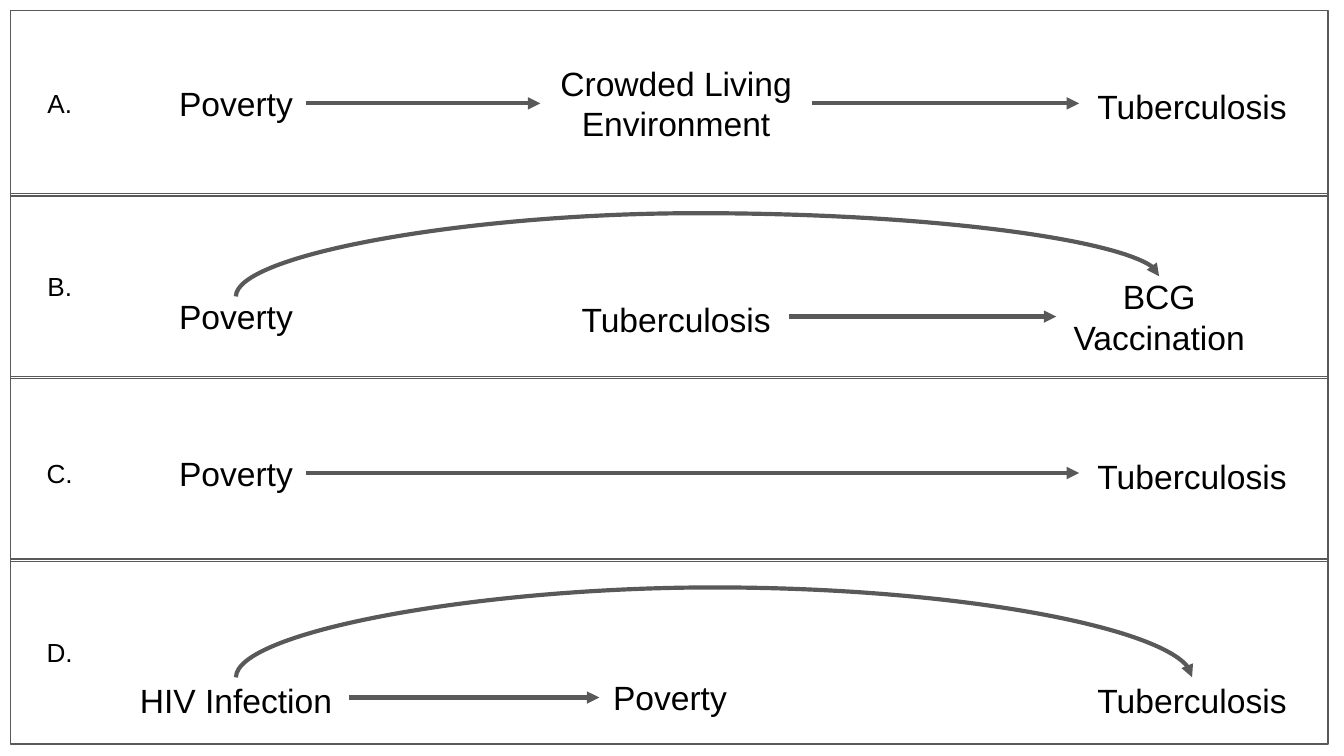
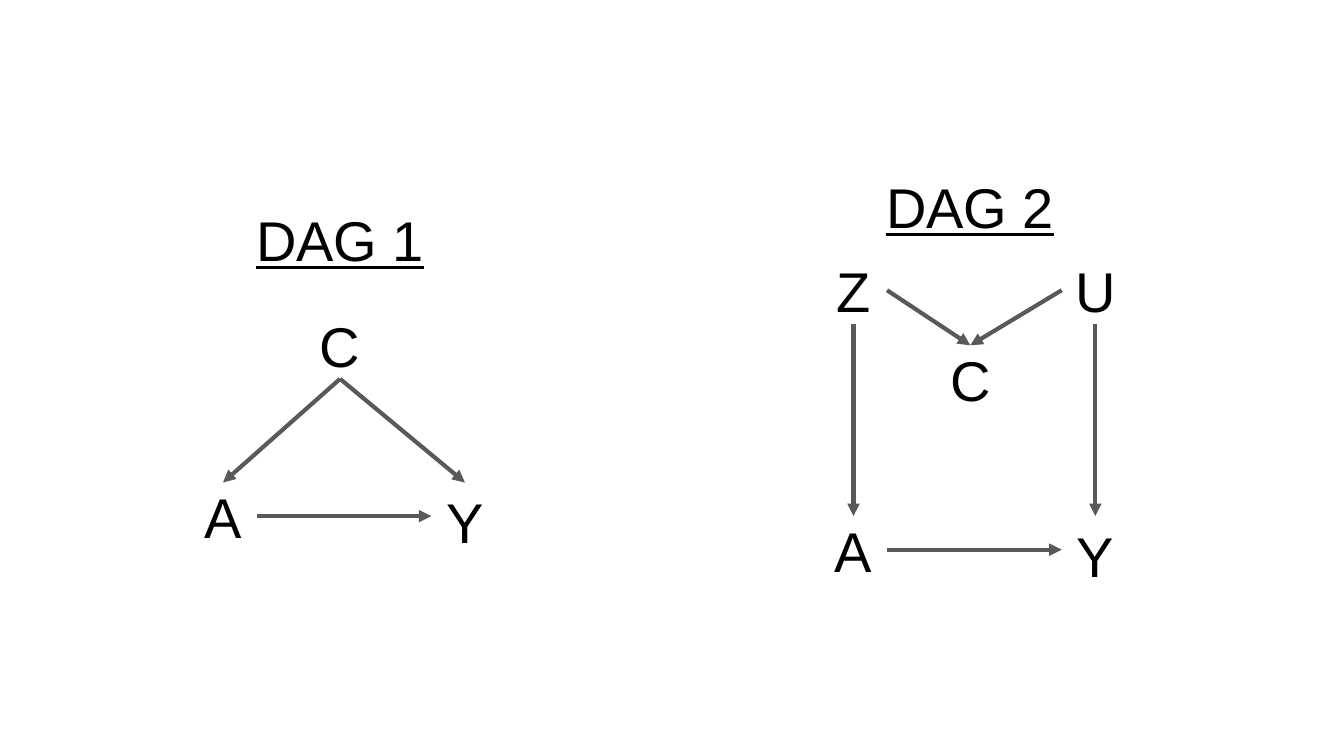
from pptx import Presentation
from pptx.dml.color import RGBColor as RGB
from pptx.enum.shapes import MSO_CONNECTOR as LINK, MSO_SHAPE as SHAPE
from pptx.enum.text import MSO_ANCHOR as ANCHOR, PP_ALIGN as ALIGN
from pptx.oxml.ns import qn
from pptx.util import Pt
from lxml.etree import SubElement

HUE = {"ink": "000000", "line": "595959"}
FONT = "Arial"
PAD = 7.2

deck = Presentation()
deck.slide_width, deck.slide_height = Pt(720), Pt(405)
blank = deck.slide_layouts[6]


def write(slide, text, mid, size, pts=18, under=None, lead=None):
    """Add centred text in a box of the given size around a middle point."""
    (x, y), (w, h) = mid, size
    box = slide.shapes.add_textbox(Pt(x - w / 2), Pt(y - h / 2), Pt(w), Pt(h))
    frame = box.text_frame
    frame.word_wrap = True
    frame.vertical_anchor = ANCHOR.MIDDLE
    frame.margin_left = frame.margin_right = Pt(PAD)
    frame.margin_top = frame.margin_bottom = Pt(PAD)
    para = frame.paragraphs[0]
    para.alignment = ALIGN.CENTER
    para.line_spacing = lead
    run = para.add_run()
    run.text = text
    font = run.font
    font.name, font.size, font.underline = FONT, Pt(pts), under
    font.color.rgb = RGB.from_string(HUE["ink"])


def arrow(slide, start, end, rise=None):
    """Draw an arrow, straight or, with a rise, arched above its start."""
    (x1, y1), (x2, y2) = start, end
    if rise:
        # The arch is an S-curve connector on its side, bent past its end.
        span, step = x2 - x1, max(y1 - y2, 0.05)
        left, top = (x1 + x2 - step) / 2, y1 - (step + span) / 2
        link = slide.shapes.add_connector(
            LINK.CURVE, Pt(left), Pt(top), Pt(left + step), Pt(top + span))
        props = link._element.spPr
        props.find(qn("a:xfrm")).set("rot", str(270 * 60000))
        geom = props.find(qn("a:prstGeom"))
        bends = geom.find(qn("a:avLst"))
        if bends is None:
            bends = SubElement(geom, qn("a:avLst"))
        SubElement(bends, qn("a:gd"), name="adj1",
                   fmla=f"val {round(rise / step * 100000)}")
    else:
        link = slide.shapes.add_connector(
            LINK.STRAIGHT, Pt(x1), Pt(y1), Pt(x2), Pt(y2))
    link.line.color.rgb = RGB.from_string(HUE["line"])
    link.line.width = Pt(2.25)
    props = link._element.spPr
    SubElement(props.find(qn("a:ln")), qn("a:tailEnd"), type="triangle")
    SubElement(props, qn("a:effectLst"))


# Slide 1: four causal paths, one in each row
slide = deck.slides.add_slide(blank)
for row in range(4):
    panel = slide.shapes.add_shape(
        SHAPE.RECTANGLE, Pt(5.8), Pt(5.8 + 97.9 * row), Pt(705.6), Pt(99.2))
    panel.shadow.inherit = False
    panel.fill.background()
    panel.line.color.rgb = RGB.from_string(HUE["line"])
    panel.line.width = Pt(0.75)

# Word: box width, box height, line spacing
words = {
    "Poverty": (75.6, 21.6, None),
    "Tuberculosis": (121, 21.6, 1.15),
    "HIV Infection": (121, 21.6, 1.15),
    "Crowded Living Environment": (145.4, 43.2, None),
    "BCG Vaccination": (110.2, 43.2, None),
}
# Row: letter, its middle, middle of the words, words with their middles,
# first words of the arrows, rise of the arch
rows = [
    ("A.", 55.4, 55.4, [("Poverty", 126.4),
                        ("Crowded Living Environment", 362.2),
                        ("Tuberculosis", 638.6)], [0, 1], None),
    ("B.", 153.4, 169.6, [("Poverty", 126.4), ("Tuberculosis", 362.2),
                          ("BCG Vaccination", 621)], [1], 44.6),
    ("C.", 253.4, 253.4, [("Poverty", 126.4), ("Tuberculosis", 638.6)],
     [0], None),
    ("D.", 349.2, 373.7, [("HIV Infection", 126.4), ("Poverty", 358.9),
                          ("Tuberculosis", 638.6)], [0], 42.5),
]
for letter, high, y, nodes, firsts, rise in rows:
    write(slide, letter, (32, high), (35.3, 28.8), pts=14)
    for word, x in nodes:
        wide, tall, lead = words[word]
        write(slide, word, (x, y), (wide, tall), lead=lead)
    for first in firsts:
        (one, x1), (two, x2) = nodes[first:first + 2]
        arrow(slide, (x1 + words[one][0] / 2, y), (x2 - words[two][0] / 2, y))
    if rise:
        (one, x1), (two, x2) = nodes[0], nodes[-1]
        arrow(slide, (x1, y - words[one][1] / 2),
              (x2, y - words[two][1] / 2), rise=rise)

# Slide 2: two graphs of lettered nodes
slide = deck.slides.add_slide(blank)
SIDE = 36
sides = {"top": (0, -1), "base": (0, 1), "left": (-1, 0), "right": (1, 0)}
# Graph: title, its middle, nodes, arrows from side to side
graphs = [
    ("DAG 1", (182.2, 128.2),
     {"C": (182.2, 185), "Y": (249.1, 276.5), "A": (119.5, 276.5)},
     ["C base A top", "C base Y top", "A right Y left"]),
    ("DAG 2", (519.8, 110.2),
     {"C": (519.8, 203), "Y": (586.8, 294.5), "A": (457.2, 294.5),
      "Z": (457.2, 155.5), "U": (586.8, 155.5)},
     ["A right Y left", "Z base A top", "Z right C top",
      "U left C top", "U base Y top"]),
]
for title, mid, nodes, links in graphs:
    write(slide, title, mid, (108, SIDE), pts=30, under=True)
    for letter, spot in nodes.items():
        write(slide, letter, spot, (SIDE, SIDE), pts=30,
              lead=1.15 if letter == "Y" else None)
    for link in links:
        one, out, two, into = link.split()
        ends = [(nodes[node][0] + sides[side][0] * SIDE / 2,
                 nodes[node][1] + sides[side][1] * SIDE / 2)
                for node, side in ((one, out), (two, into))]
        arrow(slide, *ends)

deck.save("out.pptx")
